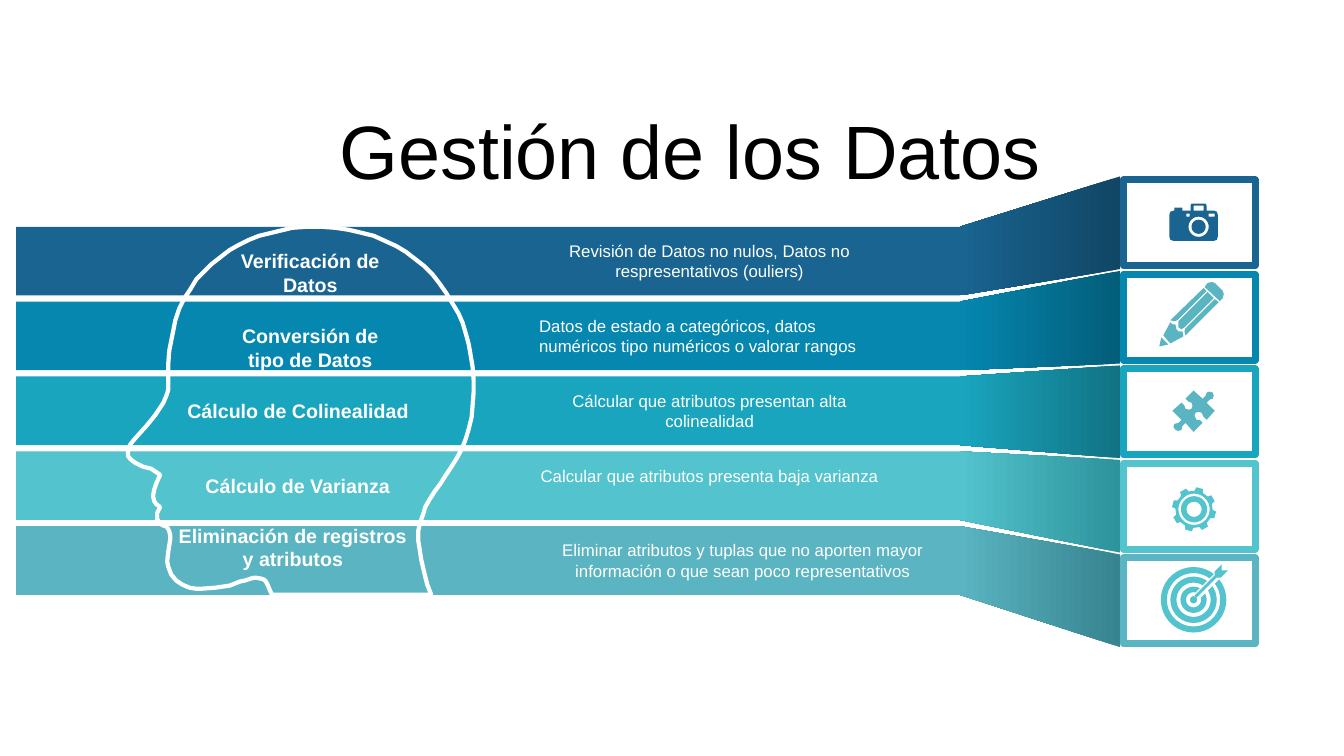
from math import cos, radians, sin

from pptx import Presentation
from pptx.dml.color import RGBColor
from pptx.enum.shapes import MSO_SHAPE
from pptx.enum.text import MSO_ANCHOR, MSO_AUTO_SIZE, PP_ALIGN
from pptx.util import Pt

RECTANGLE = MSO_SHAPE.RECTANGLE
TOP, MIDDLE = MSO_ANCHOR.TOP, MSO_ANCHOR.MIDDLE
GROW = MSO_AUTO_SIZE.SHAPE_TO_FIT_TEXT
LEFT, CENTER = PP_ALIGN.LEFT, PP_ALIGN.CENTER

BLACK = RGBColor(0x00, 0x00, 0x00)
WHITE = RGBColor(0xFF, 0xFF, 0xFF)
NAVY, NAVY_SHADE = RGBColor(0x19, 0x64, 0x91), RGBColor(0x11, 0x46, 0x65)
BLUE, BLUE_SHADE = RGBColor(0x05, 0x87, 0xAF), RGBColor(0x03, 0x5E, 0x7A)
TEAL, TEAL_SHADE = RGBColor(0x19, 0xA5, 0xBE), RGBColor(0x11, 0x73, 0x84)
AQUA, AQUA_SHADE = RGBColor(0x53, 0xC3, 0xCD), RGBColor(0x2D, 0x93, 0x9C)
MIST, MIST_SHADE = RGBColor(0x5A, 0xB4, 0xC1), RGBColor(0x36, 0x84, 0x8F)

FONT = "Arial"
UNIT = 0.72
BAND_PITCH, BAND_HEIGHT = 53.46, 49
TAB_PITCH, TAB_HEIGHT = 67.5, 66.2


def circle(x, y, radius):
    """Return the points of a circle."""
    return [(x + radius * cos(radians(a)), y + radius * sin(radians(a)))
            for a in range(0, 360, 10)]


def box(left, top, right, bottom):
    """Return the corners of a rectangle."""
    return [(left, top), (right, top), (right, bottom), (left, bottom)]


def cog(x, y, root, tip, teeth=8, turn=-75):
    """Return the toothed rim of a gear."""
    profile = [(-13, root), (-9, tip), (9, tip), (13, root)]
    return [(x + r * cos(radians(turn + 360 / teeth * k + a)),
             y + r * sin(radians(turn + 360 / teeth * k + a)))
            for k in range(teeth) for a, r in profile]


HEAD = [
    (177, 0), (192, 0), (206, 1), (219, 3), (232, 6), (244, 9), (255, 14), (266, 19),
    (276, 25), (285, 32), (294, 39), (302, 47), (309, 56), (316, 66), (322, 76), (328, 86),
    (332, 95), (335, 105), (338, 116), (340, 127), (342, 139), (343, 152), (343, 164),
    (342, 177), (341, 189), (338, 201), (335, 211), (331, 221), (326, 230), (321, 238),
    (315, 247), (310, 255), (304, 263), (299, 271), (295, 278), (293, 285), (290, 293),
    (288, 302), (288, 311), (289, 317), (291, 330), (294, 343), (297, 355), (301, 365),
    (143, 365), (141, 361), (139, 356), (137, 352), (135, 350), (132, 349), (126, 348),
    (122, 349), (116, 351), (111, 352), (101, 356), (94, 357), (87, 358), (74, 359),
    (67, 359), (61, 358), (54, 355), (48, 351), (43, 345), (40, 337), (39, 332), (40, 323),
    (42, 310), (42, 306), (41, 302), (39, 298), (37, 297), (34, 296), (32, 294), (29, 290),
    (29, 284), (32, 278), (28, 275), (26, 272), (25, 267), (26, 261), (28, 255), (32, 246),
    (29, 244), (23, 240), (15, 238), (7, 234), (2, 230), (0, 227), (0, 220), (3, 215),
    (8, 209), (18, 198), (27, 187), (35, 175), (38, 168), (40, 162), (40, 137), (41, 123),
    (47, 93), (51, 81), (56, 71), (62, 62), (68, 52), (76, 44), (83, 37), (92, 30),
    (101, 23), (110, 18), (120, 13), (130, 9), (163, 1)]
CAMERA = [
    [(71, 27), (85, 27), (86, 29), (86, 34), (93, 34), (96, 35), (97, 38), (97, 60),
     (96, 63), (93, 64), (53, 64), (50, 63), (49, 60), (49, 38), (50, 35), (53, 34),
     (54, 34), (54, 31), (62, 31), (62, 34), (70, 34), (70, 29)],
    box(66, 37, 69, 40), box(88, 37, 94, 40), box(73, 29, 83, 34),
    circle(78, 50, 10), circle(78, 50, 7)]
PENCIL = [
    [(41, 66), (48, 73), (39, 75)],
    [(50, 51), (52, 53), (55, 53), (56, 58), (58, 60), (62, 60), (63, 65), (50, 72), (43, 64)],
    [(94, 28), (98, 31), (65, 64), (64, 60), (65, 57)],
    [(87, 21), (93, 27), (64, 56), (61, 58), (58, 56), (58, 50)],
    [(83, 17), (86, 20), (57, 49), (54, 50), (50, 49)],
    [(91, 11), (94, 12), (102, 20), (103, 23), (102, 27), (99, 30), (84, 16), (87, 12)]]
PUZZLE = [[
    (92, 27), (93, 30), (92, 33), (89, 34), (86, 37), (94, 45), (86, 54), (83, 51), (81, 47),
    (78, 46), (75, 47), (74, 50), (76, 54), (79, 54), (82, 57), (73, 66), (65, 57), (62, 60),
    (61, 64), (58, 65), (55, 64), (53, 61), (54, 58), (58, 57), (61, 54), (52, 45), (61, 37),
    (64, 40), (65, 43), (68, 44), (71, 43), (72, 40), (71, 37), (68, 36), (65, 33), (73, 25),
    (82, 33), (85, 30), (86, 27), (89, 26)]]
GEAR = [cog(73.5, 49, 18.5, 22)] + [circle(73.5, 49, r) for r in (15.5, 13, 7.5)]
TARGET = [circle(73, 45, r) for r in (32.5, 26.5, 23, 17, 13, 7.5, 3.5)]
ARROW_GAP = [[(75, 38), (80, 43), (102, 21), (97, 16)]]
ARROW = [[(101, 10), (101, 16), (107, 16), (100, 23), (96, 23), (76, 43), (74, 41),
          (94, 21), (94, 17)]]

STEPS = [
    ("Verificación de Datos", (151.2, 12.5, 141), CENTER,
     "Revisión de Datos no nulos, Datos no respresentativos (ouliers)", 257.8, CENTER,
     NAVY, NAVY_SHADE, [(CAMERA, NAVY)]),
    ("Conversión de tipo de Datos", (151.2, 12.5, 141), CENTER,
     "Datos de estado a categóricos, datos numéricos tipo numéricos o valorar rangos",
     257.8, LEFT, BLUE, BLUE_SHADE, [(PENCIL, MIST)]),
    ("Cálculo de Colinealidad", (126.7, 12.5, 198), LEFT,
     "Cálcular que atributos presentan alta colinealidad", 257.8, CENTER,
     TEAL, TEAL_SHADE, [(PUZZLE, MIST)]),
    ("Cálculo de Varianza", (139.7, 12.5, 182), LEFT,
     "Calcular que atributos presenta baja varianza", 257.8, CENTER,
     AQUA, AQUA_SHADE, [(GEAR, AQUA)]),
    ("Eliminación de registros\ny atributos", (110.2, -5.5, 198), CENTER,
     "Eliminar atributos y tuplas que no aporten mayor información o que sean poco "
     "representativos", 305.3, CENTER,
     MIST, MIST_SHADE, [(TARGET, AQUA), (ARROW_GAP, WHITE), (ARROW, AQUA)])]


def write(frame, text, size=12, color=WHITE, bold=False, align=CENTER, anchor=TOP, spacing=1.0):
    """Fill a text frame with formatted paragraphs."""
    frame.word_wrap = True
    frame.vertical_anchor = anchor
    frame.text = text
    for paragraph in frame.paragraphs:
        paragraph.alignment = align
        paragraph.line_spacing = spacing
        font = paragraph.runs[0].font
        font.name, font.size, font.bold = FONT, Pt(size), bold
        font.color.rgb = color


def add_note(slide, left, top, width, height, text, **style):
    """Add a text box that grows with its text."""
    note = slide.shapes.add_textbox(Pt(left), Pt(top), Pt(width), Pt(height))
    write(note.text_frame, text, **style)
    note.text_frame.auto_size = GROW


def add_outline(slide, left, top, contours, unit=UNIT):
    """Draw closed contours on a grid that starts at the given corner."""
    placed = [[(Pt(left + x * unit), Pt(top + y * unit)) for x, y in c] for c in contours]
    builder = slide.shapes.build_freeform(*placed[0][0])
    builder.add_line_segments(placed[0][1:])
    for contour in placed[1:]:
        builder.move_to(*contour[0])
        builder.add_line_segments(contour[1:])
    outline = builder.convert_to_shape()
    outline.shadow.inherit = False
    outline.line.fill.background()
    return outline


def add_title(slide, left, top, width, height):
    """Place the slide title."""
    title = slide.shapes.title
    title.left, title.top, title.width, title.height = Pt(left), Pt(top), Pt(width), Pt(height)
    write(title.text_frame, "Gestión de los Datos", size=54, color=BLACK,
          anchor=MIDDLE, spacing=0.9)


def add_bands(slide, left, top, width):
    """Stack one coloured band per step."""
    for row, (*_, color, _, _) in enumerate(STEPS):
        band = slide.shapes.add_shape(RECTANGLE, Pt(left), Pt(top + row * BAND_PITCH),
                                      Pt(width), Pt(BAND_HEIGHT))
        band.shadow.inherit = False
        band.fill.solid()
        band.fill.fore_color.rgb = color
        band.line.fill.background()


def add_head(slide, left, top):
    """Draw the white profile across the bands."""
    head = add_outline(slide, left, top, [HEAD])
    head.fill.background()
    head.line.color.rgb = WHITE
    head.line.width = Pt(3)


def add_folds(slide, left, band_top, width, tab_top):
    """Join each band to its tab with a shaded fold."""
    for row, (*_, color, shade, _) in enumerate(STEPS):
        near, far = band_top + row * BAND_PITCH, tab_top + row * TAB_PITCH
        fold = add_outline(slide, left, 0, [[(0, near), (width, far), (width, far + TAB_HEIGHT),
                                             (0, near + BAND_HEIGHT)]], unit=1)
        fold.fill.gradient()
        fold.fill.gradient_angle = 180
        for stop, tone in zip(fold.fill.gradient_stops, (shade, color)):
            stop.color.rgb = tone


def add_tabs(slide, left, top, width):
    """Frame each step's icon in a tab."""
    for row, (*_, color, _, icon) in enumerate(STEPS):
        tab_top = top + row * TAB_PITCH
        tab = slide.shapes.add_shape(RECTANGLE, Pt(left + 2.2), Pt(tab_top + 2.5),
                                     Pt(width - 5), Pt(TAB_HEIGHT - 5))
        tab.shadow.inherit = False
        tab.fill.background()
        tab.line.color.rgb = color
        tab.line.width = Pt(5)
        for contours, tone in icon:
            part = add_outline(slide, left, tab_top, contours)
            part.fill.solid()
            part.fill.fore_color.rgb = tone


def add_step_texts(slide, top, detail_left):
    """Write the name and the detail of each step on its band."""
    for row, (name, (left, drop, width), align, detail, detail_width, detail_align,
              *_) in enumerate(STEPS):
        band_top = top + row * BAND_PITCH
        add_note(slide, left, band_top + drop, width, 24.5, name, size=14, bold=True, align=align)
        add_note(slide, detail_left, band_top + 6.5, detail_width, 36, detail, align=detail_align)


def main():
    """Build and save the slide."""
    deck = Presentation()
    deck.slide_width, deck.slide_height = Pt(960), Pt(540)
    slide = deck.slides.add_slide(deck.slide_layouts[5])
    add_title(slide, 37.4, 77.8, 911.5, 66.2)
    add_bands(slide, 11.5, 162, 674.5)
    add_head(slide, 91.4, 162)
    add_folds(slide, 685.5, 162, 114.5, 126)
    add_tabs(slide, 800, 126, 99.3)
    add_step_texts(slide, 162, 378)
    deck.save("out.pptx")


if __name__ == "__main__":
    main()
